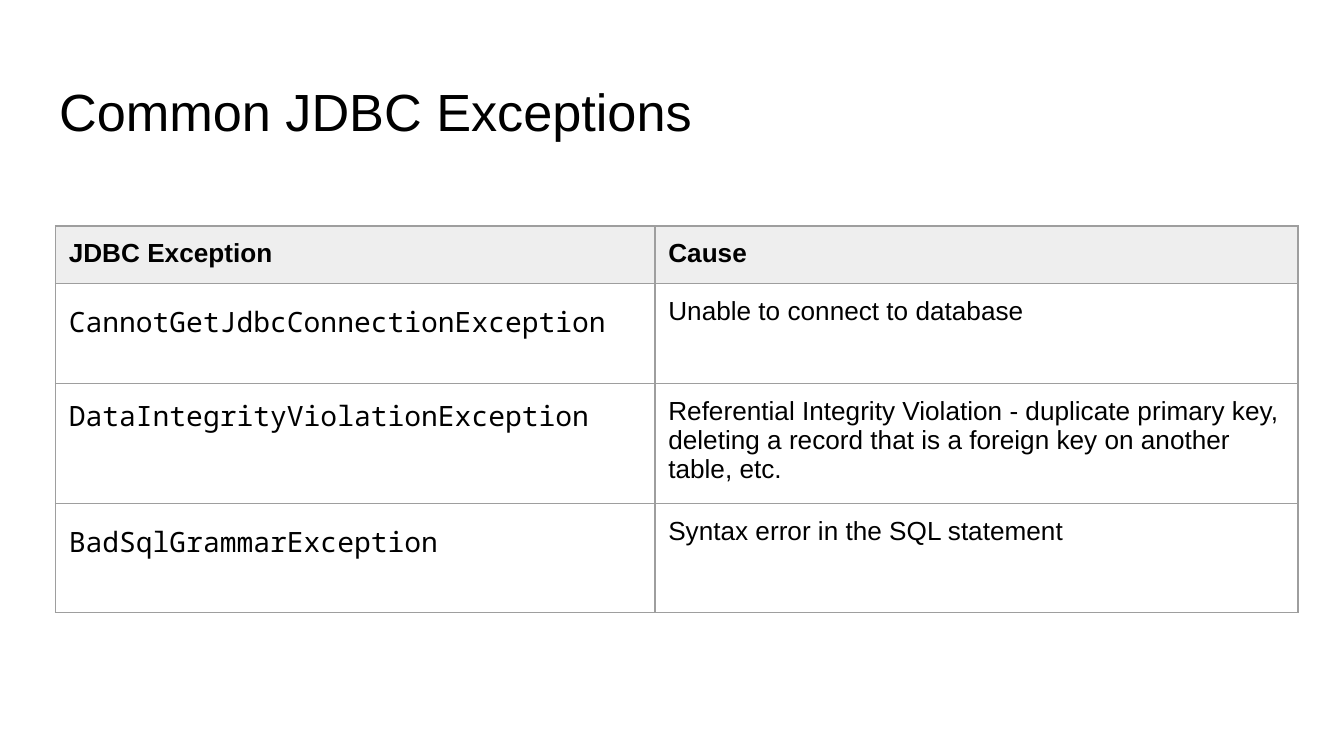
from lxml import etree
from pptx import Presentation
from pptx.dml.color import RGBColor
from pptx.oxml.ns import qn
from pptx.util import Cm, Pt

COLORS = {"text": "000000", "header": "EEEEEE", "border": "9E9E9E"}
BODY_FONT = "Arial"
CODE_FONT = "Noto Sans Mono"
INSET = Cm(0.25)
BORDER_WIDTH = Pt(0.75)

HEADINGS = ("JDBC Exception", "Cause")
# Exception, cause, whether the exception name has loose spacing
EXCEPTIONS = [
    ("CannotGetJdbcConnectionException", "Unable to connect to database", True),
    ("DataIntegrityViolationException",
     "Referential Integrity Violation - duplicate primary key, "
     "deleting a record that is a foreign key on another table, etc.", False),
    ("BadSqlGrammarException", "Syntax error in the SQL statement", True),
]
COLUMN_WIDTHS = (Cm(11.33), Cm(12.15))
ROW_HEIGHTS = (Cm(1.09), Cm(1.88), Cm(2.18), Cm(2.06))


def write(frame, text, size, font=BODY_FONT, bold=False):
    """Fill a text frame with one formatted paragraph and return it."""
    frame.word_wrap = True
    frame.text = text
    paragraph = frame.paragraphs[0]
    for run in paragraph.runs:
        run.font.name = font
        run.font.size = Pt(size)
        run.font.bold = bold
        run.font.color.rgb = RGBColor.from_string(COLORS["text"])
    return paragraph


def add_borders(cell):
    properties = cell._tc.get_or_add_tcPr()
    for position, side in enumerate(("a:lnL", "a:lnR", "a:lnT", "a:lnB")):
        line = etree.Element(qn(side), w=str(BORDER_WIDTH))
        fill = etree.SubElement(line, qn("a:solidFill"))
        etree.SubElement(fill, qn("a:srgbClr"), val=COLORS["border"])
        properties.insert(position, line)


def style_cell(cell, is_header):
    cell.margin_left = cell.margin_right = INSET
    cell.margin_top = cell.margin_bottom = INSET
    if is_header:
        cell.fill.solid()
        cell.fill.fore_color.rgb = RGBColor.from_string(COLORS["header"])
    else:
        cell.fill.background()
    add_borders(cell)


def add_title(slide, left, top, width, height):
    frame = slide.shapes.add_textbox(left, top, width, height).text_frame
    frame.margin_left = frame.margin_right = INSET
    frame.margin_top = frame.margin_bottom = INSET
    write(frame, "Common JDBC Exceptions", 28)


def add_exception_table(slide, left, top):
    table = slide.shapes.add_table(
        len(ROW_HEIGHTS), len(COLUMN_WIDTHS), left, top,
        sum(COLUMN_WIDTHS), sum(ROW_HEIGHTS)).table
    table.horz_banding = False
    for column, width in zip(table.columns, COLUMN_WIDTHS):
        column.width = width
    for row, height in zip(table.rows, ROW_HEIGHTS):
        row.height = height

    for column, heading in enumerate(HEADINGS):
        write(table.cell(0, column).text_frame, heading, 14, bold=True)
    for row, (exception, cause, is_loose) in enumerate(EXCEPTIONS, start=1):
        name = write(table.cell(row, 0).text_frame, exception, 15, CODE_FONT)
        if is_loose:
            name.line_spacing = 1.15
            name.space_after = Pt(16)
        write(table.cell(row, 1).text_frame, cause, 14)

    for row_index, row in enumerate(table.rows):
        for cell in row.cells:
            style_cell(cell, is_header=row_index == 0)


def main():
    presentation = Presentation()
    presentation.slide_width = Cm(25.4)
    presentation.slide_height = Cm(14.29)
    slide = presentation.slides.add_slide(presentation.slide_layouts[6])
    add_title(slide, Cm(0.87), Cm(1.24), Cm(23.67), Cm(1.59))
    add_exception_table(slide, Cm(1.05), Cm(4.27))
    presentation.save("out.pptx")


if __name__ == "__main__":
    main()
